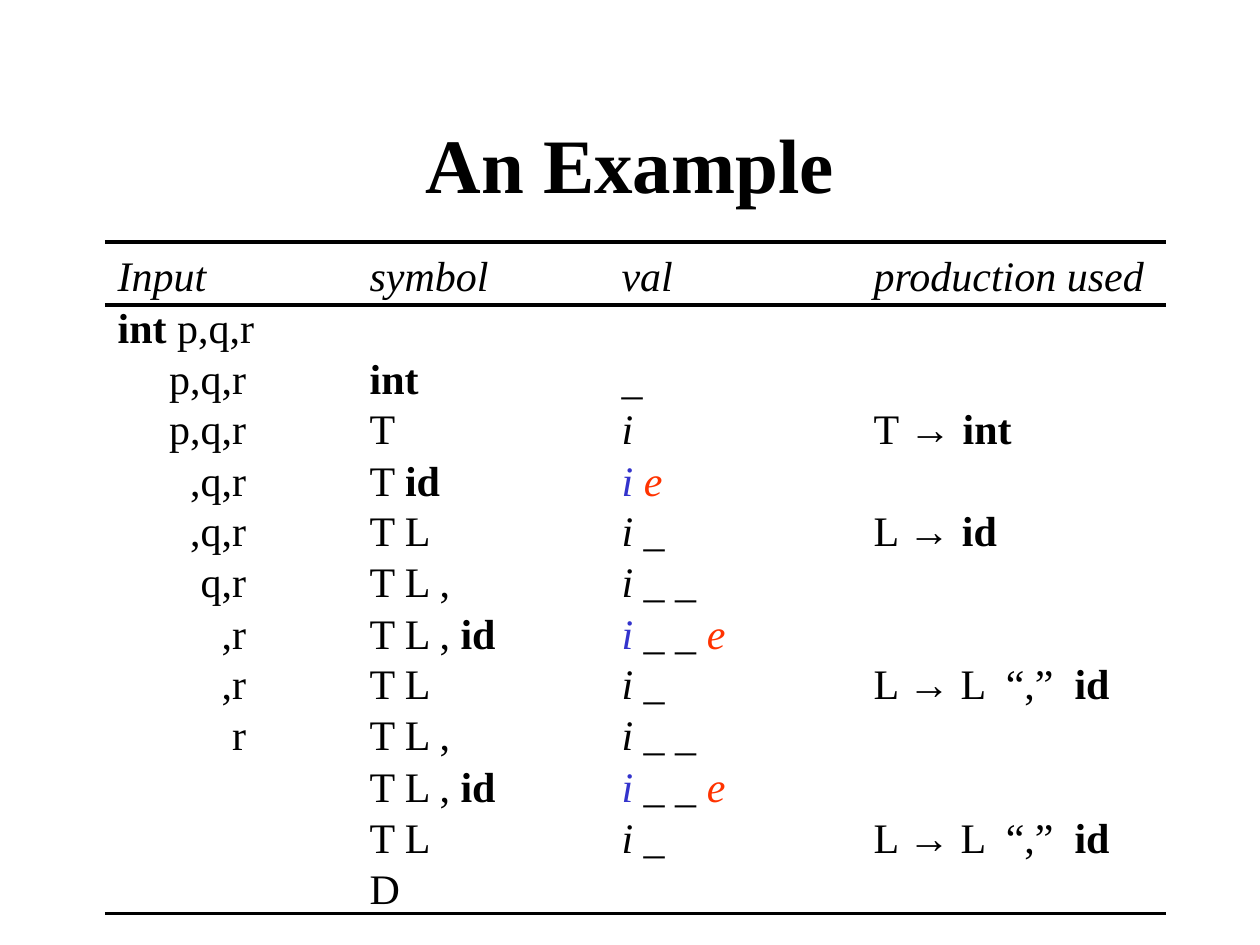
from dataclasses import dataclass

from lxml import etree
from pptx import Presentation
from pptx.dml.color import RGBColor
from pptx.enum import shapes, text
from pptx.oxml.ns import qn
from pptx.util import Pt


@dataclass(frozen=True)
class Theme:
    ink: str = "000000"
    inherited: str = "3333CC"
    entry: str = "FF3300"
    body_font: str = "Times New Roman"
    arrow_font: str = "Arial"
    title_size: float = 44
    body_size: float = 24
    rule_width: float = 2.25


THEME = Theme()

# Table geometry, in points
LEFT, TOP, RIGHT = 60, 143.2, 666
COLUMN_WIDTH, ROW_HEIGHT, MARGIN = 144, 28.8, 7.2
INPUT_RIGHT_MARGIN = 63.4
RULES = (138.24, 174.24, 522)

# Runs that recur in the parse trace: (wording, format)
INT = ("int", {"bold": True})
ID = ("id", {"bold": True})
I = ("i", {"italic": True})
BLUE_I = ("i", {"italic": True, "color": THEME.inherited})
RED_E = ("e", {"italic": True, "color": THEME.entry})
ARROW = ("→", {"font": THEME.arrow_font})
ARROW_SPACE = ("→ ", {"font": THEME.arrow_font})

# Cells that recur
SHIFTED_ID = ["T L , ", ID]
SHIFTED_VAL = [BLUE_I, " _ _ ", RED_E]
LIST_VAL = [I, " _"]
COMMA_VAL = [I, " _ _"]
LIST_RULE = ["L ", ARROW, " L  “,”  ", ID]

HEADER = ("Input", "symbol", "val", "production used")
ROWS = [
    [[(word, {"italic": True})] for word in HEADER],
    [[INT, " p,q,r"], [], [], []],
    [["p,q,r"], [INT], ["_"], []],
    [["p,q,r"], ["T"], [I], ["T ", ARROW_SPACE, INT]],
    [[",q,r"], ["T ", ID], [BLUE_I, " ", RED_E], []],
    [[",q,r"], ["T L"], LIST_VAL, ["L ", ARROW_SPACE, ID]],
    [["q,r"], ["T L ,"], COMMA_VAL, []],
    [[",r"], SHIFTED_ID, SHIFTED_VAL, []],
    [[",r"], ["T L"], LIST_VAL, LIST_RULE],
    [["r"], ["T L ,"], COMMA_VAL, []],
    [[], SHIFTED_ID, SHIFTED_VAL, []],
    [[], ["T L"], LIST_VAL, LIST_RULE],
    [[], ["D"], [], []],
]
FIRST_RIGHT_ALIGNED_ROW = 2


def add_text(paragraph, wording, *, size=THEME.body_size, font=THEME.body_font,
             color=THEME.ink, bold=False, italic=False):
    run = paragraph.add_run()
    run.text = wording
    run.font.size = Pt(size)
    run.font.name = font
    run.font.color.rgb = RGBColor.from_string(color)
    run.font.bold = bold
    run.font.italic = italic


def add_title(slide, wording):
    title = slide.shapes.title
    title.left, title.top, title.width, title.height = Pt(54), Pt(48), Pt(612), Pt(90)
    title.text_frame.vertical_anchor = text.MSO_ANCHOR.MIDDLE
    paragraph = title.text_frame.paragraphs[0]
    paragraph.alignment = text.PP_ALIGN.CENTER
    add_text(paragraph, wording, size=THEME.title_size, bold=True)


def fill_cell(cell, runs, right_aligned):
    cell.fill.background()
    cell.margin_left = Pt(MARGIN)
    cell.margin_right = Pt(INPUT_RIGHT_MARGIN if right_aligned else 0)
    cell.margin_top = cell.margin_bottom = Pt(0)
    cell.vertical_anchor = text.MSO_ANCHOR.BOTTOM
    paragraph = cell.text_frame.paragraphs[0]
    paragraph.alignment = text.PP_ALIGN.RIGHT if right_aligned else text.PP_ALIGN.LEFT
    paragraph.font.size = Pt(THEME.body_size)
    for run in runs:
        wording, style = (run, {}) if isinstance(run, str) else run
        add_text(paragraph, wording, **style)


def add_trace_table(slide, rows):
    frame = slide.shapes.add_table(len(rows), len(HEADER), Pt(LEFT), Pt(TOP),
                                   Pt(RIGHT - LEFT), Pt(ROW_HEIGHT * len(rows)))
    table = frame.table
    table.first_row = table.horz_banding = False
    # "No Style, No Grid"
    style = table._tbl.tblPr.find(qn("a:tableStyleId"))
    style.text = "{2D5ABB26-0587-4C30-8999-92F81FD0307C}"

    # The last column takes the remaining width
    last = len(HEADER) - 1
    for index, column in enumerate(table.columns):
        column.width = Pt(COLUMN_WIDTH if index < last
                          else RIGHT - LEFT - last * COLUMN_WIDTH)
    for row_index, cells in enumerate(rows):
        table.rows[row_index].height = Pt(ROW_HEIGHT)
        for column_index, runs in enumerate(cells):
            right_aligned = column_index == 0 and row_index >= FIRST_RIGHT_ALIGNED_ROW
            fill_cell(table.cell(row_index, column_index), runs, right_aligned)


def add_rule(slide, y):
    rule = slide.shapes.add_connector(shapes.MSO_CONNECTOR.STRAIGHT,
                                      Pt(LEFT), Pt(y), Pt(RIGHT), Pt(y))
    rule.line.color.rgb = RGBColor.from_string(THEME.ink)
    rule.line.width = Pt(THEME.rule_width)
    etree.SubElement(rule._element.spPr, qn("a:effectLst"))


def main():
    presentation = Presentation()
    presentation.slide_width, presentation.slide_height = Pt(720), Pt(540)
    title_only = presentation.slide_layouts[5]
    slide = presentation.slides.add_slide(title_only)

    add_title(slide, "An Example")
    add_trace_table(slide, ROWS)
    for y in RULES:
        add_rule(slide, y)

    presentation.save("out.pptx")


main()
